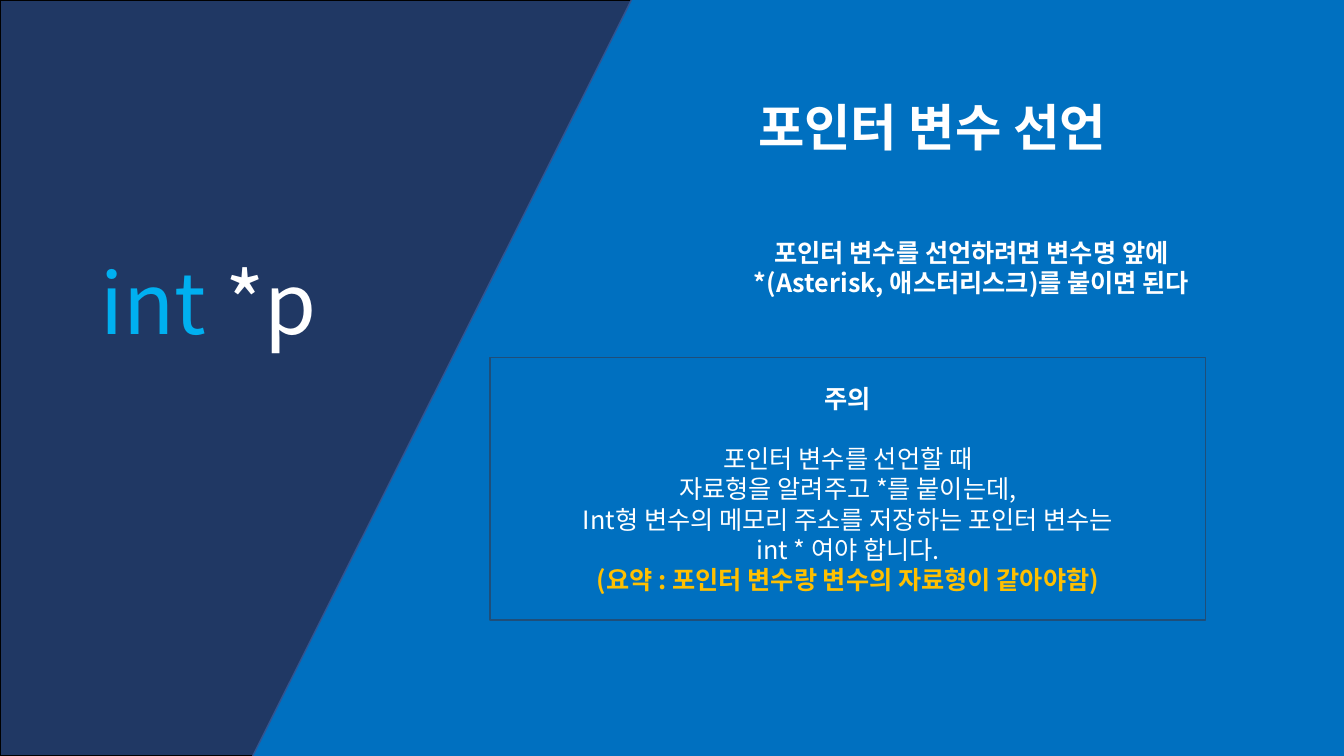
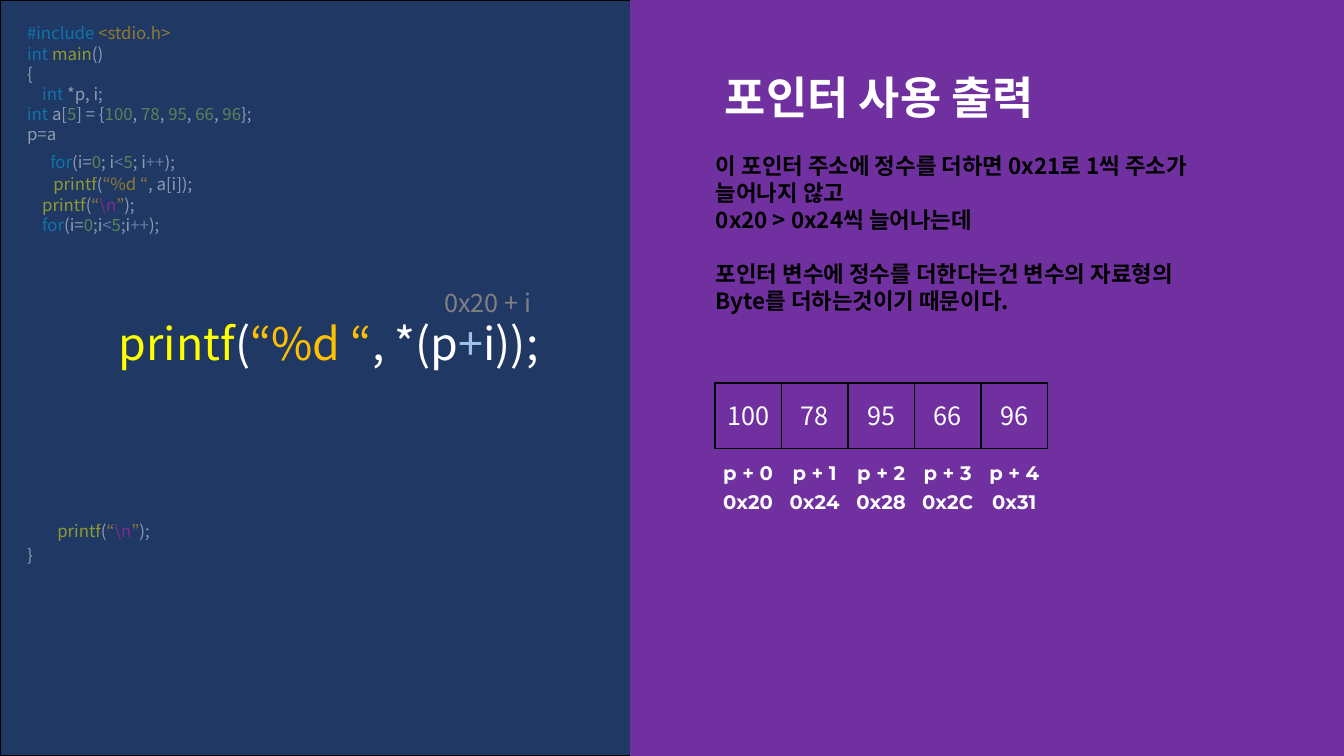
import dataclasses

import lxml.etree
import pptx
import pptx.dml.color
import pptx.enum.shapes
import pptx.enum.text
import pptx.oxml.ns
import pptx.util

Inches = pptx.util.Inches
Pt = pptx.util.Pt
LEFT = pptx.enum.text.PP_ALIGN.LEFT
CENTER = pptx.enum.text.PP_ALIGN.CENTER
TOP = pptx.enum.text.MSO_ANCHOR.TOP
MIDDLE = pptx.enum.text.MSO_ANCHOR.MIDDLE


@dataclasses.dataclass(frozen=True)
class Theme:
    width: float = 13.33
    height: float = 7.5
    font: str = "Noto Sans CJK KR"
    label_font: str = "Montserrat"
    navy: str = "203864"
    blue: str = "0070C0"
    blue_edge: str = "325491"
    note_edge: str = "1F4E79"
    purple: str = "7030A0"
    black: str = "000000"
    white: str = "FFFFFF"
    grey: str = "808080"
    keyword: str = "00B0F0"
    function: str = "FFFF00"
    string: str = "FFC000"
    number: str = "92D050"
    operator: str = "9DC3E6"
    escape: str = "E020BB"
    code_size: int = 12
    label_size: int = 14
    body_size: int = 16
    text_size: int = 18
    focus_size: int = 32
    title_size: int = 36
    declaration_size: int = 60
    dim_percent: int = 50


THEME = Theme()


@dataclasses.dataclass
class Line:
    runs: list
    before: float = 0
    indent: float = 0
    size: int = 0
    dim: bool = False
    bold: bool = False


def code(*runs, **layout):
    return Line(list(runs), dim=True, **layout)


def plain(text, **layout):
    return Line([("white", text)], **layout)


DECLARATION = [Line([("keyword", "int "), ("white", "*p")])]
DECLARATION_TITLE = [plain("포인터 변수 선언", bold=True)]
DECLARATION_BODY = [
    plain("포인터 변수를 선언하려면 변수명 앞에", bold=True),
    plain("*(Asterisk, 애스터리스크)를 붙이면 된다", bold=True),
]
CAUTION = [
    plain("주의", bold=True),
    plain("포인터 변수를 선언할 때", before=21.7),
    plain("자료형을 알려주고 *를 붙이는데,"),
    plain("Int형 변수의 메모리 주소를 저장하는 포인터 변수는"),
    plain("int * 여야 합니다."),
    Line([("string", "(요약 : 포인터 변수랑 변수의 자료형이 같아야함)")], bold=True),
]

USAGE_TITLE = [plain("포인터 사용 출력", bold=True)]
USAGE_BODY = [
    Line([("black", text)], before=before, bold=True)
    for text, before in [
        ("이 포인터 주소에 정수를 더하면 0x21로 1씩 주소가 늘어나지 않고", 0),
        ("0x20 > 0x24씩 늘어나는데", 0),
        ("포인터 변수에 정수를 더한다는건 변수의 자료형의", 19.3),
        ("Byte를 더하는것이기 때문이다.", 0),
    ]
]
VALUES = ["100", "78", "95", "66", "96"]
ADDRESSES = ["0x20", "0x24", "0x28", "0x2C", "0x31"]


def array_runs():
    runs = [("keyword", "int "), ("white", "a["), ("number", "5"), ("white", "] = {")]
    for index, value in enumerate(VALUES):
        if index:
            runs.append(("white", ", "))
        runs.append(("number", value))
    return runs + [("white", "};")]


def loop_runs(separator):
    return [
        ("keyword", "for"), ("white", "(i="), ("number", "0"),
        ("white", separator + "i"), ("operator", "<"), ("number", "5"),
        ("white", separator + "i"), ("operator", "++"), ("white", ");"),
    ]


NEWLINE_CALL = [
    ("function", "printf"), ("white", "("), ("string", "“"),
    ("escape", "\\n"), ("string", "”"), ("white", ");"),
]
PRINT_START = [("function", "printf"), ("white", "("), ("string", "“%d “")]
PROGRAM = [
    code(("keyword", "#include "), ("string", "<stdio.h>")),
    code(("keyword", "int "), ("function", "main"), ("white", "()")),
    code(("white", "{")),
    code(("keyword", "int "), ("white", "*p, i;"), indent=0.15),
    code(*array_runs()),
    code(("white", "p=a")),
    code(*loop_runs("; "), indent=0.23, before=5.7),
    code(*PRINT_START, ("white", ", a[i]);"), indent=0.26, before=1.4),
    code(*NEWLINE_CALL, indent=0.15),
    code(*loop_runs(";"), indent=0.15),
    Line(
        PRINT_START + [("white", ", *(p"), ("operator", "+"), ("white", "i));")],
        before=58, indent=0.91, size=THEME.focus_size,
    ),
    code(*NEWLINE_CALL, before=108, indent=0.3),
    code(("white", "}"), before=2.9),
]


def rgb(name):
    return pptx.dml.color.RGBColor.from_string(getattr(THEME, name))


def write(shape, lines, size, align=LEFT, anchor=TOP, font=THEME.font):
    frame = shape.text_frame
    frame.auto_size = pptx.enum.text.MSO_AUTO_SIZE.NONE
    frame.word_wrap = True
    frame.vertical_anchor = anchor
    for index, line in enumerate(lines):
        paragraph = frame.add_paragraph() if index else frame.paragraphs[0]
        paragraph.alignment = align
        paragraph.space_before = Pt(line.before)
        properties = paragraph._p.get_or_add_pPr()
        properties.set("marL", str(Inches(line.indent)))
        properties.set("indent", "0")
        lxml.etree.SubElement(properties, pptx.oxml.ns.qn("a:buNone"))
        for color, text in line.runs:
            run = paragraph.add_run()
            run.text = text
            run.font.size = Pt(line.size or size)
            run.font.bold = line.bold
            run.font.color.rgb = rgb(color)
            run.font.name = font
            latin = run.font._element.find(pptx.oxml.ns.qn("a:latin"))
            east_asian = latin.makeelement(pptx.oxml.ns.qn("a:ea"), {"typeface": font})
            latin.addnext(east_asian)
            if line.dim:
                shade = run.font._element.find(".//" + pptx.oxml.ns.qn("a:srgbClr"))
                alpha = lxml.etree.SubElement(shade, pptx.oxml.ns.qn("a:alpha"))
                alpha.set("val", str(THEME.dim_percent * 1000))


def panel(slide, box, fill=None, edge=None):
    shape = slide.shapes.add_shape(
        pptx.enum.shapes.MSO_SHAPE.RECTANGLE, *map(Inches, box))
    shape.shadow.inherit = False
    if fill:
        shape.fill.solid()
        shape.fill.fore_color.rgb = rgb(fill)
    else:
        shape.fill.background()
    if edge:
        shape.line.color.rgb = rgb(edge)
        shape.line.width = Pt(1)
    else:
        shape.line.fill.background()
    return shape


def text(slide, box, lines, size, **style):
    write(slide.shapes.add_textbox(*map(Inches, box)), lines, size, **style)


def fill_placeholder(slide, index, box, lines, size, **style):
    holder = slide.placeholders[index]
    holder.left, holder.top, holder.width, holder.height = map(Inches, box)
    slide.shapes._spTree.append(holder._element)
    write(holder, lines, size, **style)


def start_slide(deck):
    slide = deck.slides.add_slide(deck.slide_layouts[1])
    panel(slide, (0, 0, THEME.width, THEME.height), "navy", "black")
    return slide


def declaration_slide(deck):
    slide = start_slide(deck)
    text(slide, (0.9, 2.44, 3.04, 1.11), DECLARATION, THEME.declaration_size)
    slant = panel(slide, (4.66, -1.79, 10.29, 12.41), "blue", "blue_edge")
    slant.rotation = 26.6
    fill_placeholder(slide, 0, (7.42, 0.9, 4.09, 0.71),
                     DECLARATION_TITLE, THEME.title_size)
    fill_placeholder(slide, 1, (6.97, 2.3, 5.33, 0.71),
                     DECLARATION_BODY, THEME.text_size, align=CENTER)
    caution = panel(slide, (4.86, 3.55, 7.1, 2.6), edge="note_edge")
    write(caution, CAUTION, THEME.text_size, align=CENTER, anchor=MIDDLE)


def usage_slide(deck):
    slide = start_slide(deck)
    split = 6.25
    panel(slide, (split, 0, THEME.width - split, THEME.height), "purple")
    text(slide, (0.17, 0.18, 5.62, 5.52), PROGRAM, THEME.code_size)
    text(slide, (4.31, 2.8, 1.55, 0.4),
         [Line([("grey", "0x20 + i")])], THEME.text_size)
    fill_placeholder(slide, 0, (7.09, 0.64, 3.66, 0.64),
                     USAGE_TITLE, THEME.focus_size)
    fill_placeholder(slide, 1, (7, 1.46, 5.51, 1.72), USAGE_BODY, THEME.body_size)

    array_left, pitch, label_width = 7.09, 0.66, 0.87
    for index, (value, address) in enumerate(zip(VALUES, ADDRESSES)):
        left = array_left + index * pitch
        cell = panel(slide, (left, 3.8, pitch, 0.65), edge="black")
        cell.text_frame.margin_left = cell.text_frame.margin_right = 0
        write(cell, [plain(value)], THEME.text_size, align=CENTER, anchor=MIDDLE)
        label_left = left - (label_width - pitch) / 2
        for top, label in ((4.52, f"p + {index}"), (4.81, address)):
            text(slide, (label_left, top, label_width, 0.34),
                 [plain(label, bold=True)], THEME.label_size,
                 align=CENTER, font=THEME.label_font)


def main():
    deck = pptx.Presentation()
    deck.slide_width = Inches(THEME.width)
    deck.slide_height = Inches(THEME.height)
    declaration_slide(deck)
    usage_slide(deck)
    deck.save("out.pptx")


if __name__ == "__main__":
    main()
